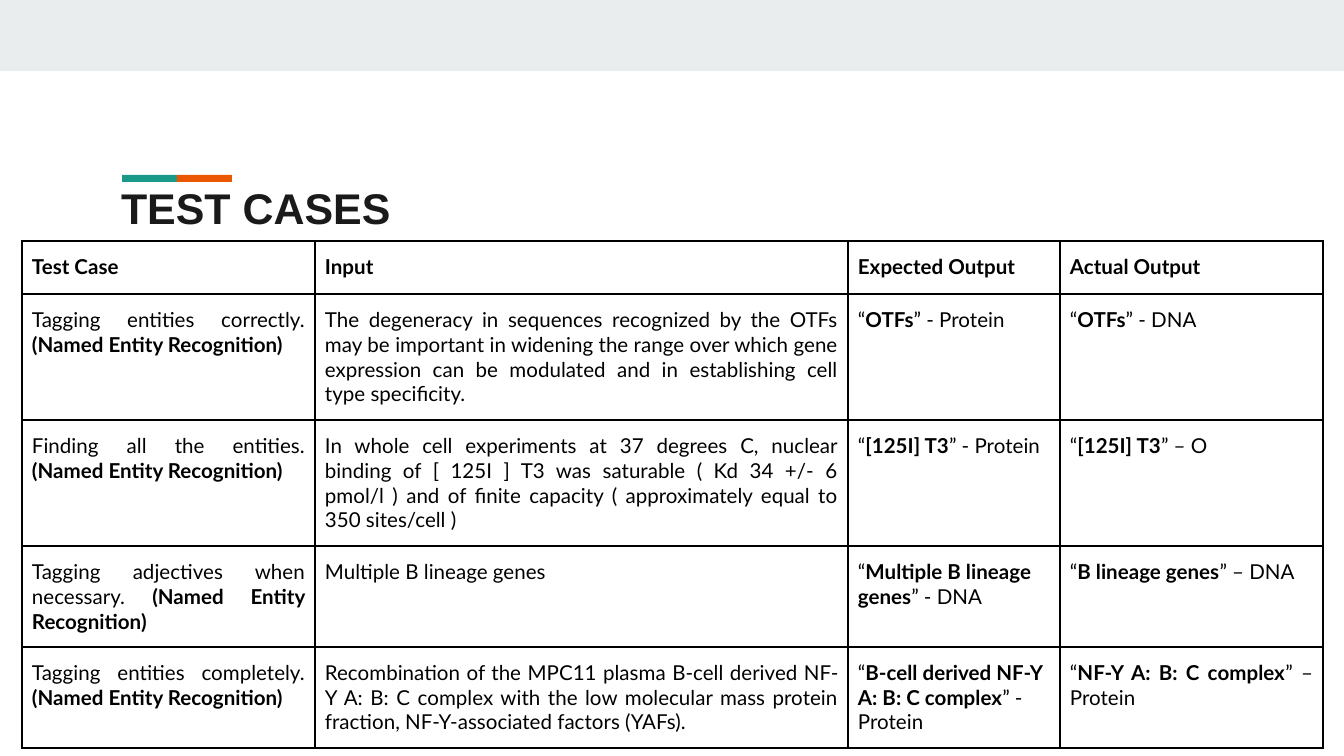
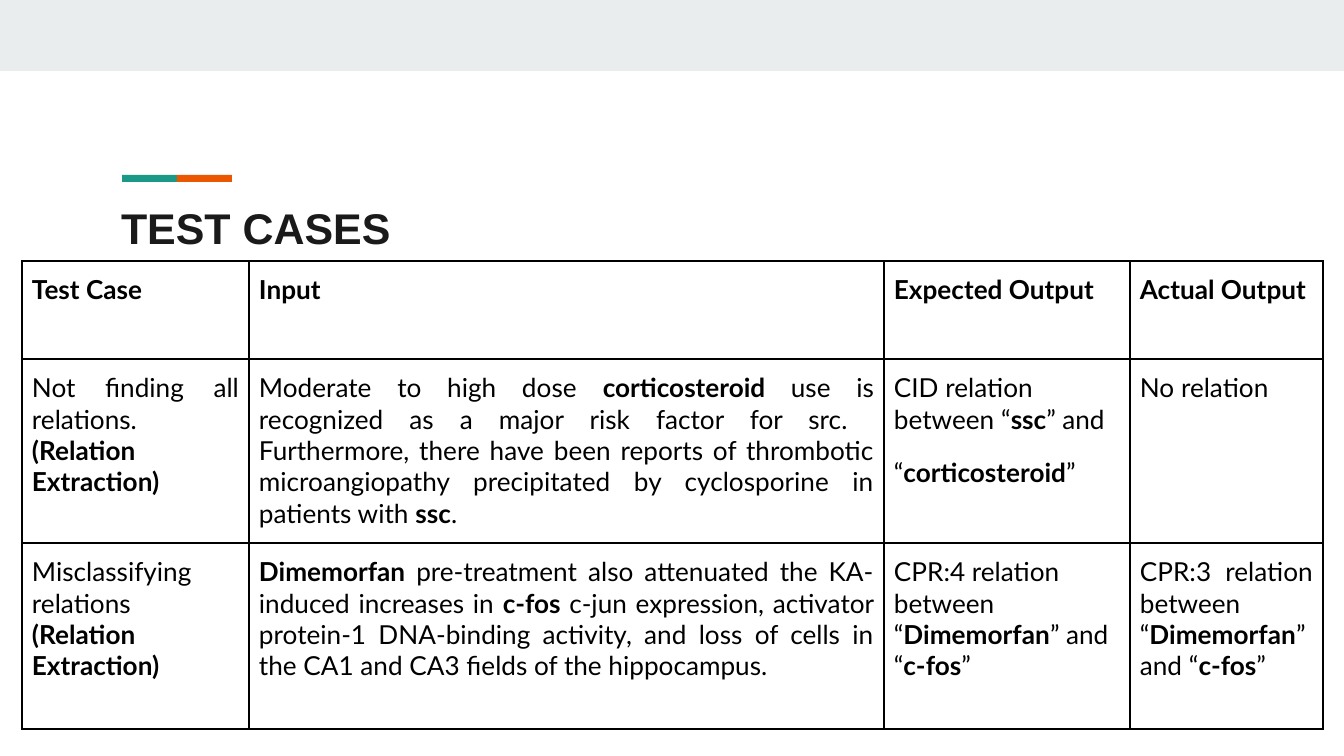
from lxml.etree import SubElement
from pptx import Presentation
from pptx.dml.color import RGBColor
from pptx.enum.shapes import MSO_SHAPE as Shape
from pptx.enum.text import MSO_ANCHOR as Anchor, MSO_AUTO_SIZE as AutoSize, PP_ALIGN as Align
from pptx.oxml.ns import qn
from pptx.util import Pt

EMU_PER_PX = 914400 / 134.4
PAGE_BOX = (0, 0, 1344, 756)
TABLE_LEFT = 22
TITLE_HEIGHT = 78

BAND = RGBColor(0xE9, 0xED, 0xEE)
TEAL = RGBColor(0x1A, 0x99, 0x88)
ORANGE = RGBColor(0xEB, 0x56, 0x00)
TITLE_INK = RGBColor(0x1A, 0x1A, 0x1A)
BLACK = RGBColor(0, 0, 0)

TITLE_FONT, TABLE_FONT = "Arial", "Lato"
HEADER = ["*Test Case*", "*Input*", "*Expected Output*", "*Actual Output*"]
EXPECTED_COLUMN = HEADER.index("*Expected Output*")
ENTITY = "*(Named Entity Recognition)*"
RELATION = "*(Relation Extraction)*"

ENTITY_CASES = [
    [f"Tagging entities correctly. {ENTITY}",
     "The degeneracy in sequences recognized by the OTFs may be important in widening "
     "the range over which gene expression can be modulated and in establishing cell "
     "type specificity.",
     "“*OTFs*” - Protein", "“*OTFs*” - DNA"],
    [f"Finding all the entities. {ENTITY}",
     "In whole cell experiments at 37 degrees C, nuclear binding of [ 125I ] T3 was "
     "saturable ( Kd 34 +/- 6 pmol/l ) and of finite capacity ( approximately equal to "
     "350 sites/cell )",
     "“*[125I] T3*” - Protein", "“*[125I] T3*” – O"],
    [f"Tagging adjectives when necessary. {ENTITY}",
     "Multiple B lineage genes",
     "“*Multiple B lineage genes*” - DNA", "“*B lineage genes*” – DNA"],
    [f"Tagging entities completely. {ENTITY}",
     "Recombination of the MPC11 plasma B-cell derived NF-Y A: B: C complex with the low "
     "molecular mass protein fraction, NF-Y-associated factors (YAFs).",
     "“*B-cell derived NF-Y A: B: C complex*” - Protein",
     "“*NF-Y A: B: C complex*” – Protein"],
]
RELATION_CASES = [
    [f"Not finding all relations. {RELATION}",
     "Moderate to high dose *corticosteroid *use is recognized as a major risk factor for "
     "src.  Furthermore, there have been reports of thrombotic microangiopathy "
     "precipitated by cyclosporine in patients with *ssc*.",
     "CID relation between “*ssc*” and\n“*corticosteroid*”", "No relation"],
    [f"Misclassifying relations {RELATION}",
     "*Dimemorfan *pre-treatment also attenuated the KA-induced increases in *c-fos* c-jun "
     "expression, activator protein-1 DNA-binding activity, and loss of cells in the CA1 "
     "and CA3 fields of the hippocampus.",
     "CPR:4 relation between “*Dimemorfan*” and “*c-fos*”",
     "CPR:3 relation between “*Dimemorfan*” and “*c-fos*”"],
]


def px(length):
    """Turn pixels into EMU."""
    return round(length * EMU_PER_PX)


def add_span(para, text, font, size, color, bold):
    """Add one formatted run to a paragraph."""
    span = para.add_run()
    span.text = text
    span.font.name = font
    span.font.size = Pt(size)
    span.font.color.rgb = color
    span.font.bold = bold


def add_bar(page, left, top, width, height, color):
    """Draw a plain filled rectangle."""
    bar = page.shapes.add_shape(Shape.RECTANGLE, px(left), px(top), px(width), px(height))
    bar.shadow.inherit = False
    bar.fill.solid()
    bar.fill.fore_color.rgb = color
    bar.line.fill.background()


def add_decoration(page, box):
    """Draw the top band and the two-colour accent within the page box."""
    left, top, width, _ = box
    add_bar(page, left, top, width, 71, BAND)
    for index, color in enumerate((TEAL, ORANGE)):
        add_bar(page, left + 122 + index * 55, top + 175, 55, 7, color)


def fill_title(page, text, box):
    """Place and format the title placeholder."""
    title = page.shapes.title
    title.left, title.top, title.width, title.height = map(px, box)
    frame = title.text_frame
    frame.auto_size = AutoSize.NONE
    frame.word_wrap = True
    frame.vertical_anchor = Anchor.BOTTOM
    frame.margin_left = frame.margin_right = px(13)
    frame.margin_top = frame.margin_bottom = px(13)
    para = frame.paragraphs[0]
    para.alignment = Align.LEFT
    add_span(para, text, TITLE_FONT, 23, TITLE_INK, True)


def set_borders(cell):
    """Give a cell a thin black line on every side."""
    properties = cell._tc.get_or_add_tcPr()
    for index, side in enumerate(("lnL", "lnR", "lnT", "lnB")):
        line = SubElement(properties, qn(f"a:{side}"), w=str(Pt(1)))
        fill = SubElement(line, qn("a:solidFill"))
        SubElement(fill, qn("a:srgbClr"), val=str(BLACK))
        properties.insert(index, line)


def fill_cell(cell, text, size, alignment):
    """Write a cell, one paragraph a line, with bold between asterisks."""
    cell.fill.background()
    cell.margin_left = cell.margin_right = px(10)
    cell.margin_top = cell.margin_bottom = px(13)
    cell.vertical_anchor = Anchor.TOP
    set_borders(cell)
    frame = cell.text_frame
    for number, line in enumerate(text.split("\n")):
        para = frame.add_paragraph() if number else frame.paragraphs[0]
        para.alignment = alignment
        para.space_before = Pt(12)
        for index, part in enumerate(line.split("*")):
            if part:
                add_span(para, part, TABLE_FONT, size, BLACK, index % 2 == 1)


def add_case_table(page, left, top, widths, heights, cases, size):
    """Add the bordered table of test cases below its header."""
    rows = [HEADER, *cases]
    table = page.shapes.add_table(len(rows), len(HEADER), px(left), px(top),
                                  px(sum(widths)), px(sum(heights))).table
    table.first_row = table.horz_banding = False
    for column, width in zip(table.columns, widths):
        column.width = px(width)
    for row, height in zip(table.rows, heights):
        row.height = px(height)
    for r, texts in enumerate(rows):
        for c, text in enumerate(texts):
            ragged = r > 0 and c == EXPECTED_COLUMN
            fill_cell(table.cell(r, c), text, size, Align.LEFT if ragged else Align.JUSTIFY)


def add_case_page(deck, title_top, table_top, widths, heights, cases, size):
    """Add a slide with decoration, title and table of test cases."""
    page = deck.slides.add_slide(deck.slide_layouts[5])
    add_decoration(page, PAGE_BOX)
    fill_title(page, "TEST CASES", (108, title_top, 1130, TITLE_HEIGHT))
    add_case_table(page, TABLE_LEFT, table_top, widths, heights, cases, size)


def main():
    """Build and save the deck."""
    deck = Presentation()
    deck.slide_width, deck.slide_height = map(px, PAGE_BOX[2:])
    add_case_page(deck, 168, 241, (293, 533, 212, 263), (53, 126, 126, 101, 101),
                  ENTITY_CASES, 11)
    add_case_page(deck, 188, 261, (227, 635, 246, 193), (98, 184, 186),
                  RELATION_CASES, 14)
    deck.save("out.pptx")


if __name__ == "__main__":
    main()
